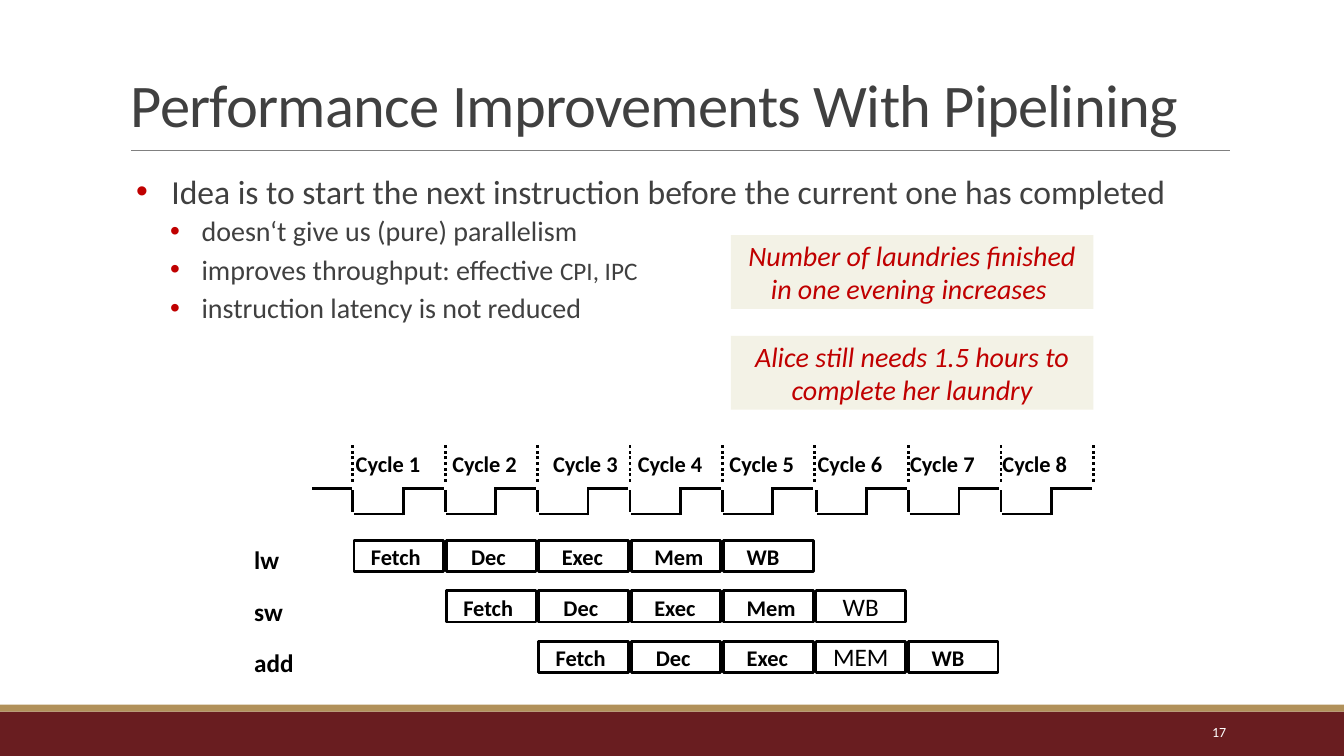
import pptx
import pptx.util
import pptx.dml.color
import pptx.enum.dml
import pptx.enum.shapes
import pptx.enum.text
import pptx.oxml.ns
from lxml import etree

Pt = pptx.util.Pt
ALIGN = pptx.enum.text.PP_ALIGN
ANCHOR = pptx.enum.text.MSO_ANCHOR
COLORS = {"maroon": "691D20", "gold": "B1915A", "rule": "808080", "text": "404040",
          "red": "C00000", "cream": "F3F2E6", "black": "000000", "white": "FFFFFF"}
FONT = "Calibri"

CYCLE = 66  # width of one clock cycle
CYCLE_LABEL_SHIFTS = [-5, -2, 4, -1.5, -2, -5, -5, -5]
STAGE_LABELS = {"Fetch": (5, 52), "Dec": (10.5, 40), "Exec": (9.4, 45),
                "Mem": (9.4, 50), "WB": (9.4, 38)}  # left shift, width
# name, label width, label drop, first cycle, stages, stage set large and regular
INSTRUCTIONS = [
    ("lw", 34, -0.8, 0, ["Fetch", "Dec", "Exec", "Mem", "WB"], None),
    ("sw", 36, 0.7, 1, ["Fetch", "Dec", "Exec", "Mem", "WB"], "WB"),
    ("add", 43, 0.7, 2, ["Fetch", "Dec", "Exec", "MEM", "WB"], "MEM"),
]


def color(name):
    return pptx.dml.color.RGBColor.from_string(COLORS[name])


def add_run(paragraph, text, size, color_name, bold=False, italic=False):
    run = paragraph.add_run()
    run.text = text
    run.font.size = Pt(size)
    run.font.name = FONT
    run.font.bold = bold
    run.font.italic = italic
    run.font.color.rgb = color(color_name)
    return run


def set_frame(shape, margin_x=7.2, margin_y=3.6, anchor=ANCHOR.TOP, wrap=True):
    frame = shape.text_frame
    frame.word_wrap = wrap
    frame.vertical_anchor = anchor
    frame.margin_left = frame.margin_right = Pt(margin_x)
    frame.margin_top = frame.margin_bottom = Pt(margin_y)
    return frame


def add_text_box(slide, left, top, width, height, **frame_options):
    box = slide.shapes.add_textbox(Pt(left), Pt(top), Pt(width), Pt(height))
    return set_frame(box, **frame_options)


def add_label(slide, left, top, width, text, size=16):
    frame = add_text_box(slide, left, top, width, 26.6 if size == 16 else 29, wrap=False)
    frame.auto_size = pptx.enum.text.MSO_AUTO_SIZE.SHAPE_TO_FIT_TEXT
    add_run(frame.paragraphs[0], text, size, "black", bold=True)


def add_rectangle(slide, left, top, width, height, fill=None, outline=None):
    shape = slide.shapes.add_shape(pptx.enum.shapes.MSO_SHAPE.RECTANGLE,
                                   Pt(left), Pt(top), Pt(width), Pt(height))
    shape.shadow.inherit = False
    if fill:
        shape.fill.solid()
        shape.fill.fore_color.rgb = color(fill)
    else:
        shape.fill.background()
    if outline:
        shape.line.color.rgb = color(outline)
        shape.line.width = Pt(2)
    else:
        shape.line.fill.background()
    return shape


def add_line(slide, x1, y1, x2, y2, color_name="black", width=2, dotted=False):
    line = slide.shapes.add_connector(pptx.enum.shapes.MSO_CONNECTOR.STRAIGHT,
                                      Pt(x1), Pt(y1), Pt(x2), Pt(y2))
    line.line.color.rgb = color(color_name)
    line.line.width = Pt(width)
    if dotted:
        line.line.dash_style = pptx.enum.dml.MSO_LINE.ROUND_DOT
    etree.SubElement(line._element.spPr, pptx.oxml.ns.qn("a:effectLst"))


def add_bullet(paragraph, left, hanging):
    properties = paragraph._p.get_or_add_pPr()
    properties.set("marL", str(Pt(left)))
    properties.set("indent", str(-Pt(hanging)))
    bullet_color = etree.SubElement(properties, pptx.oxml.ns.qn("a:buClr"))
    etree.SubElement(bullet_color, pptx.oxml.ns.qn("a:srgbClr"), val=COLORS["red"])
    etree.SubElement(properties, pptx.oxml.ns.qn("a:buFont"), typeface="Arial")
    etree.SubElement(properties, pptx.oxml.ns.qn("a:buChar"), char="•")


def add_footer(slide, top, width, height):
    add_rectangle(slide, 0, top, width, height, fill="maroon")
    add_rectangle(slide, 0, top - 5, width, 5, fill="gold")
    frame = add_text_box(slide, 780, top, 103, 28.8, anchor=ANCHOR.MIDDLE)
    frame.paragraphs[0].alignment = ALIGN.RIGHT
    add_run(frame.paragraphs[0], "17", 10, "white")


def add_title(slide, left, top, width, height):
    frame = add_text_box(slide, left, top, width, height, anchor=ANCHOR.BOTTOM)
    frame.paragraphs[0].line_spacing = 0.85
    run = add_run(frame.paragraphs[0], "Performance Improvements With Pipelining", 43.2, "text")
    run.font._element.set("spc", "-50")
    add_line(slide, left + 7.2, top + 85, left + width, top + 85, "rule", 0.5)


def add_body(slide, left, top, width, height):
    frame = add_text_box(slide, left, top, width, height, margin_x=0)
    bullets = [
        (0, [("Idea is to start the next instruction before the current one has completed", 24)]),
        (1, [("doesn‘t give us (pure) parallelism", 20)]),
        (1, [("improves throughput: effective ", 20), ("CPI, IPC", 18)]),
        (1, [("instruction latency is not reduced", 20)]),
    ]
    for index, (level, runs) in enumerate(bullets):
        paragraph = frame.add_paragraph() if index else frame.paragraphs[0]
        paragraph.level = level
        paragraph.line_spacing = 0.9
        paragraph.space_before = Pt(2 if level else 6)
        paragraph.space_after = Pt(4 if level else 2)
        add_bullet(paragraph, *((57.6, 22.5) if level else (36, 25.2)))
        for text, size in runs:
            add_run(paragraph, text, size, "text")


def add_callout(slide, left, top, width, height, text):
    shape = add_rectangle(slide, left, top, width, height, fill="cream")
    frame = set_frame(shape, margin_x=5, margin_y=2.2)
    frame.auto_size = pptx.enum.text.MSO_AUTO_SIZE.SHAPE_TO_FIT_TEXT
    frame.paragraphs[0].alignment = ALIGN.CENTER
    add_run(frame.paragraphs[0], text, 20, "red", italic=True)


def add_clock(slide, left, top):
    high, low = top + 31, top + 49
    add_line(slide, left - 28.8, high, left - 0.7, high)
    for cycle, shift in enumerate(CYCLE_LABEL_SHIFTS):
        edge = left + cycle * CYCLE
        wave = edge + (1 if cycle >= 5 else 0)
        add_line(slide, wave + 0.8, low, wave + 35, low)
        add_line(slide, wave, high + 1, wave, low - 1.5)
        add_line(slide, wave + 36, low + 1, wave + 36, high - 1.5)
        add_line(slide, wave + 36.8, high, wave + 64.8, high)
        add_label(slide, edge + shift, top, 61, f"Cycle {cycle + 1}")
    # Cycle boundaries
    for boundary in range(len(CYCLE_LABEL_SHIFTS) + 1):
        x = left + boundary * CYCLE + (1 if boundary >= 6 else 0)
        add_line(slide, x, top + 26, x, top, dotted=True)


def add_instruction(slide, left, top, name, label_width, drop, first, stages, regular):
    add_label(slide, left - 77.5, top + drop, label_width, name, 18)
    for index, stage in enumerate(stages, first):
        x = left + index * CYCLE + 0.9
        box = add_rectangle(slide, x, top, 64, 22.3, outline="black")
        if stage == regular:
            frame = set_frame(box, anchor=ANCHOR.MIDDLE, wrap=False)
            frame.paragraphs[0].alignment = ALIGN.CENTER
            add_run(frame.paragraphs[0], stage, 18, "black")
        else:
            shift, width = STAGE_LABELS[stage]
            add_label(slide, x + shift, top - 1.4, width, stage)


def main():
    presentation = pptx.Presentation()
    presentation.slide_width, presentation.slide_height = Pt(960), Pt(540)
    slide = presentation.slides.add_slide(presentation.slide_layouts[6])
    add_footer(slide, 508.3, 960, 31.7)
    add_title(slide, 86.4, 22.3, 792, 81.4)
    add_body(slide, 86.4, 121.7, 792, 340.6)
    # Pipeline diagram
    add_clock(slide, 252, 318.2)
    for row, instruction in enumerate(INSTRUCTIONS):
        add_instruction(slide, 252, 386 + row * 36, *instruction)
    # Laundry analogy
    add_callout(slide, 522, 168, 259, 52.6, "Number of laundries finished in one evening increases ")
    add_callout(slide, 522, 240, 259, 52.6, "Alice still needs 1.5 hours to complete her laundry")
    presentation.save("out.pptx")


if __name__ == "__main__":
    main()
